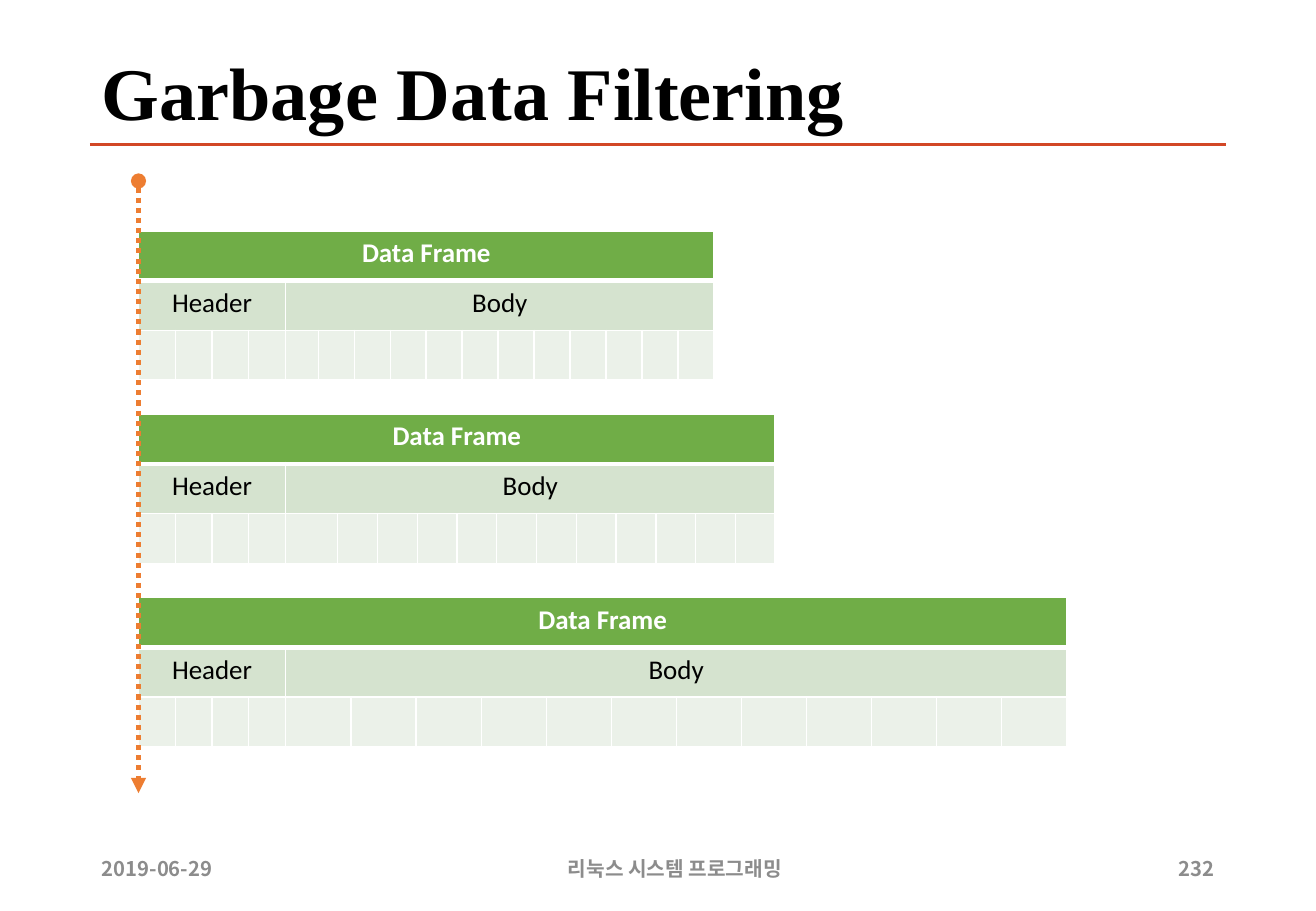
from lxml.etree import SubElement
from pptx import Presentation
from pptx.dml.color import RGBColor
from pptx.enum.dml import MSO_LINE_DASH_STYLE as DASH
from pptx.enum.shapes import MSO_CONNECTOR
from pptx.enum.text import MSO_ANCHOR, PP_ALIGN
from pptx.oxml.ns import qn
from pptx.util import Inches, Pt

TITLE = "Garbage Data Filtering"
FOOTERS = [
    ("2019-06-29", 0.74, 1.27, PP_ALIGN.LEFT),
    ("리눅스 시스템 프로그래밍", 4.45, 2.21, PP_ALIGN.CENTER),
    ("232", 9.56, 0.53, PP_ALIGN.RIGHT),
]
FRAME_LABEL, HEADER_LABEL, BODY_LABEL = "Data Frame", "Header", "Body"
FRAMES = [
    {"top": 1.9, "width": 4.74, "first_body": 0.27},
    {"top": 3.41, "width": 5.24, "first_body": 0.43},
    {"top": 4.92, "width": 7.64, "first_body": 0.54},
]
FRAME_LEFT, HEADER_WIDTH, ROW_HEIGHT = 1.14, 1.21, 0.41
HEADER_COLUMNS, BODY_COLUMNS = 4, 12
COLUMNS = HEADER_COLUMNS + BODY_COLUMNS

BLACK = RGBColor(0x00, 0x00, 0x00)
WHITE = RGBColor(0xFF, 0xFF, 0xFF)
GRAY = RGBColor(0x8C, 0x8C, 0x8C)
RED = RGBColor(0xD2, 0x47, 0x26)
ORANGE = RGBColor(0xED, 0x7D, 0x31)
ROW_FILLS = [
    RGBColor(0x70, 0xAD, 0x47),
    RGBColor(0xD5, 0xE3, 0xCF),
    RGBColor(0xEB, 0xF1, 0xE9),
]
ROW_BORDERS = [(1, 3), (3, 1), (1, 1)]


def write(text_frame, text, font_name, size, color, bold, align):
    text_frame.text = text
    paragraph = text_frame.paragraphs[0]
    paragraph.alignment = align
    run = paragraph.runs[0]
    run.font.name, run.font.size, run.font.bold = font_name, Pt(size), bold
    run.font.color.rgb = color
    SubElement(run.font._element, qn("a:ea"), typeface=font_name)
    return paragraph


def add_text(slide, box, *style):
    shape = slide.shapes.add_textbox(*map(Inches, box))
    shape.text_frame.word_wrap = True
    shape.text_frame.vertical_anchor = MSO_ANCHOR.MIDDLE
    return write(shape.text_frame, *style)


def add_line(slide, ends, color, width):
    connector = slide.shapes.add_connector(MSO_CONNECTOR.STRAIGHT, *map(Inches, ends))
    connector.line.color.rgb = color
    connector.line.width = Pt(width)
    SubElement(connector._element.spPr, qn("a:effectLst"))
    return connector


def add_borders(cell, top, bottom):
    properties = cell._tc.get_or_add_tcPr()
    for side, width in (("L", 1), ("R", 1), ("T", top), ("B", bottom)):
        line = SubElement(properties, qn(f"a:ln{side}"), w=str(Pt(width)))
        fill = SubElement(line, qn("a:solidFill"))
        SubElement(fill, qn("a:srgbClr"), val=str(WHITE))


def add_frame(slide, top, width, first_body):
    box = (FRAME_LEFT, top, width, 3 * ROW_HEIGHT)
    table = slide.shapes.add_table(3, COLUMNS, *map(Inches, box)).table
    table.horz_banding = False
    other_body = (width - HEADER_WIDTH - first_body) / (BODY_COLUMNS - 1)
    widths = [HEADER_WIDTH / HEADER_COLUMNS] * HEADER_COLUMNS
    widths += [first_body] + [other_body] * (BODY_COLUMNS - 1)
    for column, column_width in zip(table.columns, widths):
        column.width = Inches(column_width)
    for row, fill, borders in zip(table.rows, ROW_FILLS, ROW_BORDERS):
        row.height = Inches(ROW_HEIGHT)
        for cell in row.cells:
            add_borders(cell, *borders)
            cell.fill.solid()
            cell.fill.fore_color.rgb = fill
    labels = [
        (0, 0, COLUMNS - 1, FRAME_LABEL, WHITE, True),
        (1, 0, HEADER_COLUMNS - 1, HEADER_LABEL, BLACK, False),
        (1, HEADER_COLUMNS, COLUMNS - 1, BODY_LABEL, BLACK, False),
    ]
    for row, first, last, text, color, bold in labels:
        cell = table.cell(row, first)
        cell.merge(table.cell(row, last))
        write(cell.text_frame, text, "Calibri", 16, color, bold, PP_ALIGN.CENTER)


def main():
    presentation = Presentation()
    presentation.slide_width, presentation.slide_height = Inches(10.83), Inches(7.5)
    slide = presentation.slides.add_slide(presentation.slide_layouts[6])

    add_line(slide, (0.74, 1.19, 10.09, 1.19), RED, 2)
    title = add_text(slide, (0.74, 0.4, 9.34, 0.79), TITLE,
                     "Times New Roman", 44, BLACK, True, PP_ALIGN.LEFT)
    title.line_spacing = 0.9
    for text, left, width, align in FOOTERS:
        add_text(slide, (left, 6.95, width, 0.4), text,
                 "Noto Sans CJK KR", 12, GRAY, True, align)

    for frame in FRAMES:
        add_frame(slide, **frame)

    timeline = add_line(slide, (FRAME_LEFT, 1.49, FRAME_LEFT, 6.53), ORANGE, 3)
    timeline.line.dash_style = DASH.ROUND_DOT
    line = timeline.line._get_or_add_ln()
    SubElement(line, qn("a:headEnd"), type="oval")
    SubElement(line, qn("a:tailEnd"), type="triangle")

    presentation.save("out.pptx")


if __name__ == "__main__":
    main()
